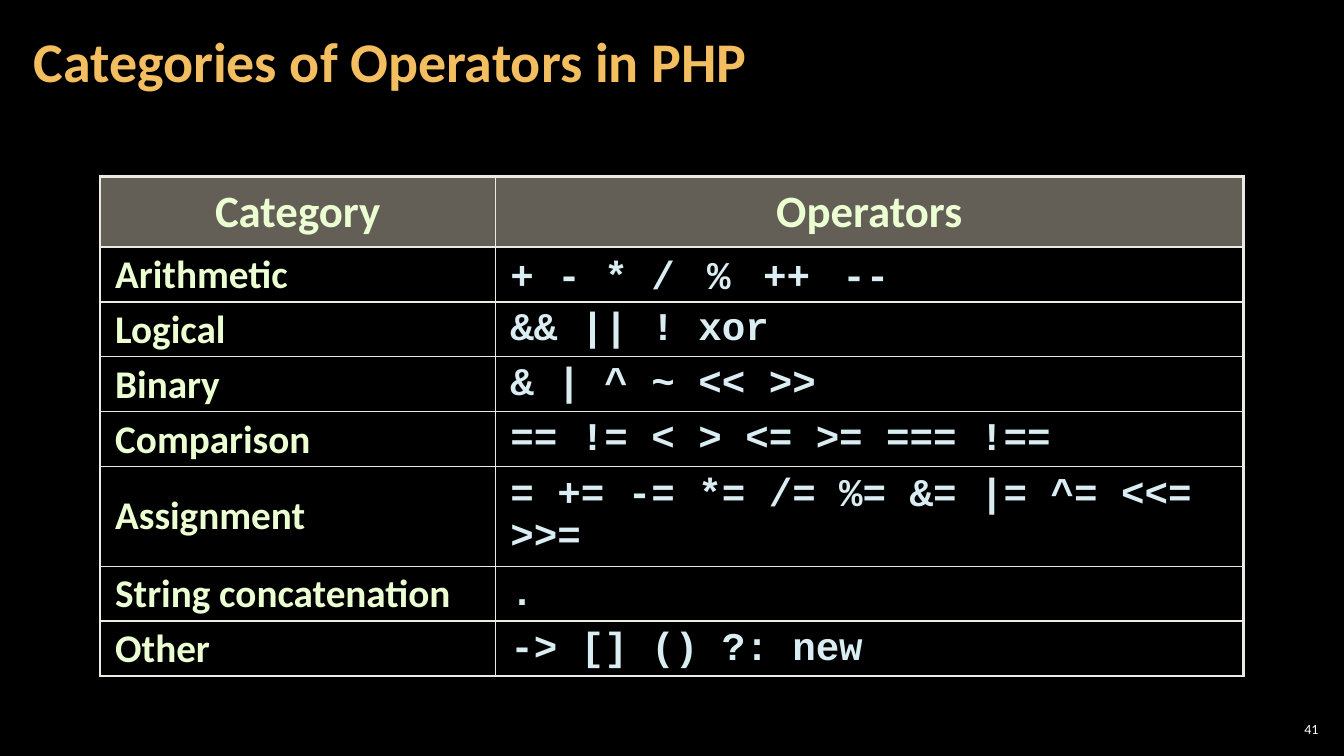
import pptx
import pptx.dml.color
import pptx.enum.text
import pptx.oxml.ns
import pptx.util
from lxml import etree

ALIGN = pptx.enum.text.PP_ALIGN
MIDDLE = pptx.enum.text.MSO_ANCHOR.MIDDLE
SLIDE_W, SLIDE_H = 13.33, 7.5
BODY_FONT, CODE_FONT = "Calibri", "Courier New"
LABEL, CODE, BORDER = "EBFFD2", "DAEDF2", "ECEAE3"
THICK, THIN = 2.25, 1

COLUMNS = [3.92, 7.42]
HEADER_H, LINE_H, TWO_LINES_H = 0.7, 0.54, 0.99
ROWS = [
    ("Category", "Operators", HEADER_H),
    ("Arithmetic", "+ - * /  %  ++  --", LINE_H),
    ("Logical", "&& || ! xor", LINE_H),
    ("Binary", "& | ^ ~ << >>", LINE_H),
    ("Comparison", "== != < > <= >= === !==", LINE_H),
    ("Assignment", "= += -= *= /= %= &= |= ^= <<= >>=", TWO_LINES_H),
    ("String concatenation", ".", LINE_H),
    ("Other", "-> [] () ?: new", LINE_H),
]


def rgb(value):
    return pptx.dml.color.RGBColor.from_string(value)


def inches(value):
    return pptx.util.Inches(value)


def style_run(r, size, color, bold, font=BODY_FONT):
    r.font.size = pptx.util.Pt(size)
    r.font.color.rgb = rgb(color)
    r.font.bold = bold
    r.font.name = font


def add_text(s, text, x, y, w, h, size, color, inset, align=ALIGN.LEFT, bold=False):
    sp = s.shapes.add_textbox(
        inches(x * SLIDE_W), inches(y * SLIDE_H), inches(w * SLIDE_W), inches(h * SLIDE_H)
    )
    tf = sp.text_frame
    tf.word_wrap = True
    tf.vertical_anchor = MIDDLE
    tf.margin_left = tf.margin_right = inches(inset)
    tf.margin_top = tf.margin_bottom = inches(0.04)
    p = tf.paragraphs[0]
    p.text = text
    p.alignment = align
    p.line_spacing = 0.9
    style_run(p.runs[0], size, color, bold)


def set_borders(cell, widths):
    tcPr = cell._tc.get_or_add_tcPr()
    for side, width in zip("LRTB", widths):
        ln = etree.SubElement(tcPr, pptx.oxml.ns.qn(f"a:ln{side}"), w=str(pptx.util.Pt(width)))
        fill = etree.SubElement(ln, pptx.oxml.ns.qn("a:solidFill"))
        etree.SubElement(fill, pptx.oxml.ns.qn("a:srgbClr"), val=BORDER)


def fill_header(cell):
    cell.fill.solid()
    cell.fill.fore_color.rgb = rgb("C7BFAC")
    color = cell._tc.tcPr.find(".//" + pptx.oxml.ns.qn("a:srgbClr") + "[@val='C7BFAC']")
    etree.SubElement(color, pptx.oxml.ns.qn("a:alpha"), val="50000")


def write_label(p, text, size):
    p.text = text
    style_run(p.runs[0], size, LABEL, True)


def write_operators(p, text):
    for i, group in enumerate(text.split("  ")):
        if i:
            r = p.add_run()
            r.text = " "
            style_run(r, 28, CODE, True)
        r = p.add_run()
        r.text = " " + group if i else group
        style_run(r, 28, CODE, True, CODE_FONT)


def format_cell(cell, row, column):
    cell.vertical_anchor = MIDDLE
    cell.margin_left = cell.margin_right = inches(0.15)
    cell.margin_top = cell.margin_bottom = inches(0.05)
    set_borders(cell, (
        THIN if column else THICK,
        THICK if column else THIN,
        THICK if row < 2 else THIN,
        THICK if row in (0, len(ROWS) - 1) else THIN,
    ))
    p = cell.text_frame.paragraphs[0]
    p.line_spacing = 0.95
    text = ROWS[row][column]
    if row == 0:
        fill_header(cell)
        p.alignment = ALIGN.CENTER
        write_label(p, text, 32)
        return
    cell.fill.background()
    if column:
        write_operators(p, text)
    else:
        write_label(p, text, 28)


def add_operator_table(s, x, y):
    heights = [height for _, _, height in ROWS]
    table = s.shapes.add_table(
        len(ROWS), len(COLUMNS), inches(x * SLIDE_W), inches(y * SLIDE_H),
        inches(sum(COLUMNS)), inches(sum(heights))
    ).table
    table.first_row = table.horz_banding = False
    for column, width in enumerate(COLUMNS):
        table.columns[column].width = inches(width)
    for row, height in enumerate(heights):
        table.rows[row].height = inches(height)
        for column in range(len(COLUMNS)):
            format_cell(table.cell(row, column), row, column)


def main():
    prs = pptx.Presentation()
    prs.slide_width, prs.slide_height = inches(SLIDE_W), inches(SLIDE_H)
    s = prs.slides.add_slide(prs.slide_layouts[6])
    s.background.fill.solid()
    s.background.fill.fore_color.rgb = rgb("000000")
    add_text(s, "Categories of Operators in PHP", 0.016, 0.005, 0.785, 0.161,
             40, "F3BE60", 0.12, bold=True)
    add_operator_table(s, 0.0745, 0.2335)
    add_text(s, "41", 0.949, 0.952, 0.035, 0.028, 10, "FFFFFF", 0.04, ALIGN.RIGHT)
    prs.save("out.pptx")


if __name__ == "__main__":
    main()
